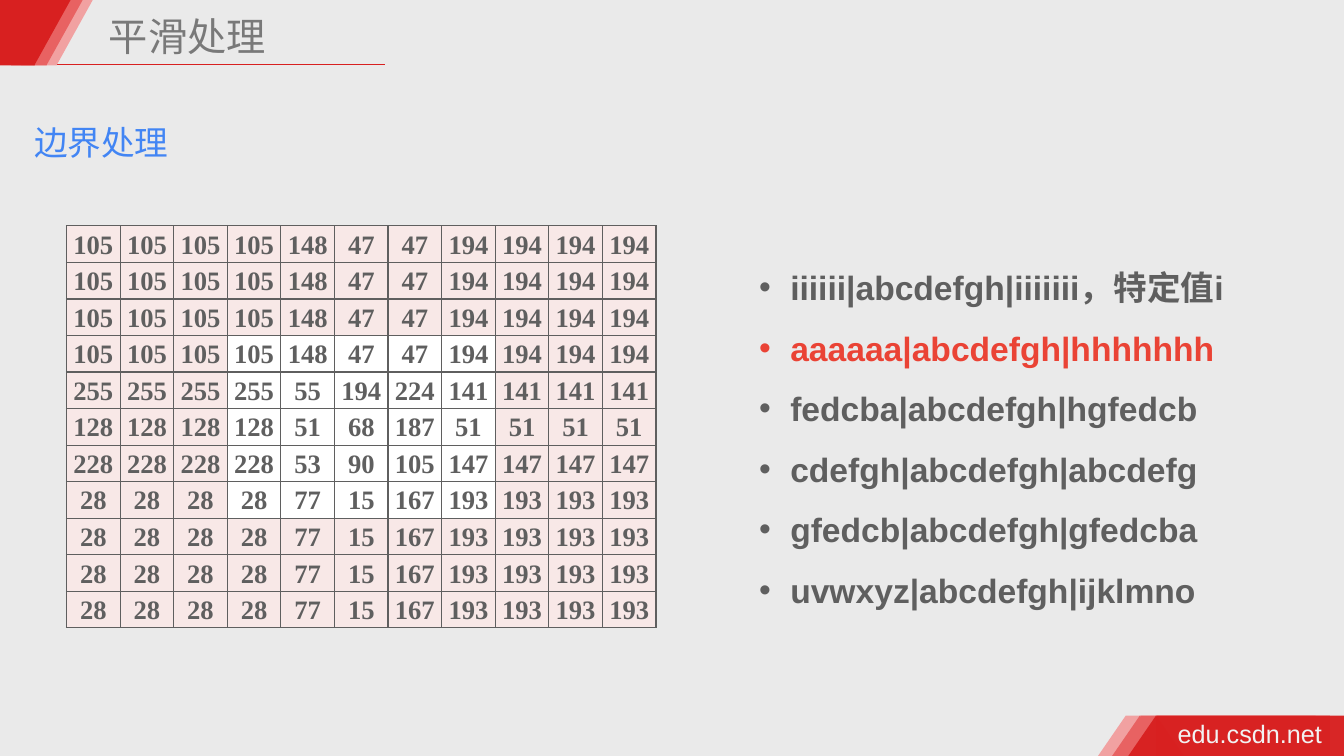
from dataclasses import dataclass
from typing import Optional

from lxml import etree
from pptx import Presentation
from pptx import util as u
from pptx.dml import color as dml
from pptx.enum import shapes, text
from pptx.oxml import ns

PX = 9144


@dataclass(frozen=True)
class Theme:
    bg: str = "EAEAEA"
    red: str = "D82020"
    coral: str = "E86262"
    pink: str = "F1A1A1"
    title: str = "797979"
    subtitle: str = "4285F4"
    body: str = "5F5F5F"
    accent: str = "EA4335"
    site: str = "F2F2F2"
    border_cell: str = "F8E8E7"
    core_cell: str = "FFFFFF"
    sans: str = "Arial"
    cjk: str = "Noto Sans CJK SC"
    serif: str = "Times New Roman"
    title_pt: int = 28
    body_pt: int = 24
    cell_pt: int = 19
    site_pt: int = 18


@dataclass(frozen=True)
class Box:
    x: int
    y: int
    w: int
    h: int

    def emu(self) -> tuple[int, ...]:
        return tuple(px(n) for n in (self.x, self.y, self.w, self.h))


@dataclass(frozen=True)
class Style:
    font: str
    size: int
    color: str
    bold: bool = False
    spacing: Optional[float] = None


@dataclass(frozen=True)
class Band:
    color: str
    header_x: int
    footer_x: int
    footer_alpha: int = 100


T = Theme()
BANDS = [
    Band(T.pink, 20, 1089),
    Band(T.coral, 10, 1103),
    Band(T.red, -2, 1119, 97),
]
PIXELS = [
    [105, 148, 47, 47, 194],
    [255, 55, 194, 224, 141],
    [128, 51, 68, 187, 51],
    [228, 53, 90, 105, 147],
    [28, 77, 15, 167, 193],
]
PAD = 3
BORDER_MODES = [
    ("iiiiii|abcdefgh|iiiiiii，特定值i", T.body),
    ("aaaaaa|abcdefgh|hhhhhhh", T.accent),
    ("fedcba|abcdefgh|hgfedcb", T.body),
    ("cdefgh|abcdefgh|abcdefg", T.body),
    ("gfedcb|abcdefgh|gfedcba", T.body),
    ("uvwxyz|abcdefgh|ijklmno", T.body),
]


def px(n: int) -> u.Emu:
    return u.Emu(n * PX)


def rgb(value: str) -> dml.RGBColor:
    return dml.RGBColor.from_string(value)


def sub(parent, tag: str, **attrs: str):
    return etree.SubElement(parent, ns.qn(tag), attrs)


def format_paragraph(p, style: Style) -> None:
    if style.spacing:
        p.line_spacing = style.spacing
    p.font.size = u.Pt(style.size)
    p.font.bold = style.bold
    p.font.color.rgb = rgb(style.color)
    p.font.name = style.font
    sub(p._p.pPr.find(ns.qn("a:defRPr")), "a:ea", typeface=T.cjk)


def add_bullet(p, color: str) -> None:
    pPr = p._p.get_or_add_pPr()
    pPr.set("marL", str(px(31)))
    pPr.set("indent", str(px(-31)))
    sub(sub(pPr, "a:buClr"), "a:srgbClr", val=color)
    sub(pPr, "a:buFont", typeface=T.sans)
    sub(pPr, "a:buChar", char="•")


def set_frame(tf, inset: int = 10, wrap: bool = True) -> None:
    tf.word_wrap = wrap
    tf.auto_size = text.MSO_AUTO_SIZE.SHAPE_TO_FIT_TEXT
    tf.vertical_anchor = text.MSO_ANCHOR.TOP
    tf.margin_left = tf.margin_right = px(inset)
    tf.margin_top = tf.margin_bottom = px(5)


def add_text(slide, box: Box, words: str, style: Style, inset: int = 10, wrap: bool = True) -> None:
    tf = slide.shapes.add_textbox(*box.emu()).text_frame
    set_frame(tf, inset, wrap)
    p = tf.paragraphs[0]
    p.text = words
    format_paragraph(p, style)


def add_block(slide, kind, box: Box, color: str, alpha: int = 100, flip: bool = False) -> None:
    s = slide.shapes.add_shape(kind, *box.emu())
    s.shadow.inherit = False
    s.fill.solid()
    s.fill.fore_color.rgb = rgb(color)
    s.line.fill.background()
    if alpha < 100:
        clr = s._element.spPr.find(f"{ns.qn('a:solidFill')}/{ns.qn('a:srgbClr')}")
        sub(clr, "a:alpha", val=str(alpha * 1000))
    if flip:
        s._element.spPr.find(ns.qn("a:xfrm")).set("flipV", "1")


def add_bands(slide) -> None:
    rect, triangle = shapes.MSO_SHAPE.RECTANGLE, shapes.MSO_SHAPE.ISOSCELES_TRIANGLE
    for b in BANDS:
        add_block(slide, rect, Box(b.footer_x + 28, 710, 188, 40), b.color, b.footer_alpha)
        add_block(slide, triangle, Box(b.footer_x, 710, 55, 40), b.color, b.footer_alpha)
        add_block(slide, rect, Box(b.header_x + 1, 0, 35, 65), b.color)
        add_block(slide, triangle, Box(b.header_x, 0, 72, 65), b.color, flip=True)


def add_rule(slide) -> None:
    s = slide.shapes.add_connector(shapes.MSO_CONNECTOR.STRAIGHT, px(49), px(64), px(382), px(64))
    s.line.color.rgb = rgb(T.red)
    s.line.width = u.Pt(1)
    sub(s._element.spPr, "a:effectLst")


def format_title(slide, words: str) -> None:
    s = slide.shapes.title
    s.left, s.top, s.width, s.height = Box(103, 12, 436, 53).emu()
    set_frame(s.text_frame, inset=5)
    p = s.text_frame.paragraphs[0]
    p.text = words
    p.alignment = text.PP_ALIGN.LEFT
    format_paragraph(p, Style(T.cjk, T.title_pt, T.title, spacing=0.9))


def add_modes(slide, box: Box) -> None:
    tf = slide.shapes.add_textbox(*box.emu()).text_frame
    set_frame(tf)
    for i, (words, color) in enumerate(BORDER_MODES):
        p = tf.add_paragraph() if i else tf.paragraphs[0]
        p.text = words
        add_bullet(p, color)
        format_paragraph(p, Style(T.sans, T.body_pt, color, True, 1.5))


def format_cell(cell, value: int, fill: str) -> None:
    tcPr = cell._tc.get_or_add_tcPr()
    for side in "LRTB":
        ln = sub(tcPr, f"a:ln{side}", w=str(u.Pt(1)))
        sub(sub(ln, "a:solidFill"), "a:srgbClr", val=T.body)
    cell.fill.solid()
    cell.fill.fore_color.rgb = rgb(fill)
    cell.margin_left = cell.margin_right = cell.margin_top = px(2)
    cell.margin_bottom = 0
    cell.vertical_anchor = text.MSO_ANCHOR.MIDDLE
    p = cell.text_frame.paragraphs[0]
    p.text = str(value)
    p.alignment = text.PP_ALIGN.CENTER
    format_paragraph(p, Style(T.serif, T.cell_pt, T.body, True))


def add_padded_pixels(slide, box: Box) -> None:
    core = len(PIXELS)
    size = core + 2 * PAD
    table = slide.shapes.add_table(size, size, *box.emu()).table
    table.first_row = table.horz_banding = False
    nearest = [min(max(i - PAD, 0), core - 1) for i in range(size)]
    inside = range(PAD, PAD + core)
    for r, src_r in enumerate(nearest):
        for c, src_c in enumerate(nearest):
            fill = T.core_cell if r in inside and c in inside else T.border_cell
            format_cell(table.cell(r, c), PIXELS[src_r][src_c], fill)


def main() -> None:
    prs = Presentation()
    prs.slide_width, prs.slide_height = px(1333), px(750)
    slide = prs.slides.add_slide(prs.slide_layouts[5])
    slide.background.fill.solid()
    slide.background.fill.fore_color.rgb = rgb(T.bg)
    add_rule(slide)
    add_bands(slide)
    add_text(slide, Box(1163, 708, 155, 40), "edu.csdn.net", Style(T.sans, T.site_pt, T.site), 5, False)
    format_title(slide, "平滑处理")
    add_text(slide, Box(24, 96, 275, 64), "边界处理", Style(T.cjk, T.body_pt, T.subtitle, spacing=1.5))
    add_modes(slide, Box(743, 240, 525, 366))
    add_padded_pixels(slide, Box(66, 224, 585, 399))
    prs.save("out.pptx")


if __name__ == "__main__":
    main()
